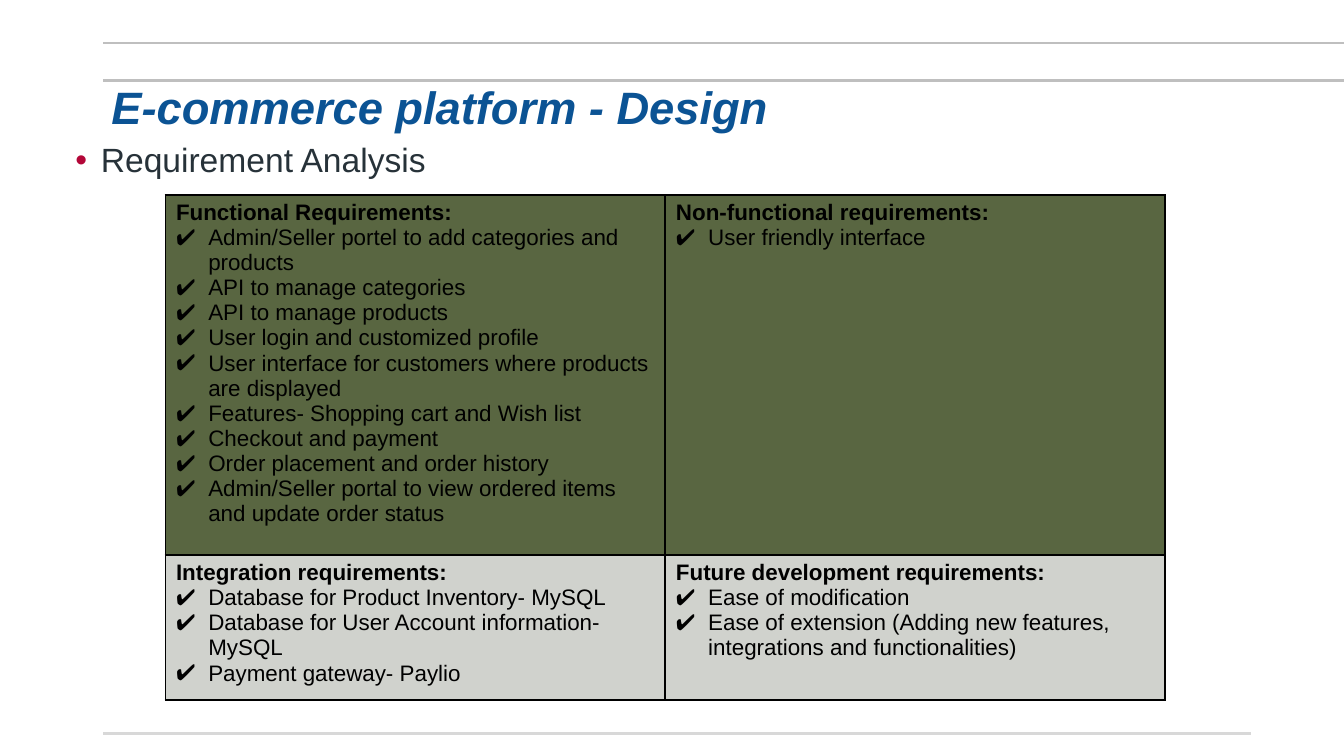
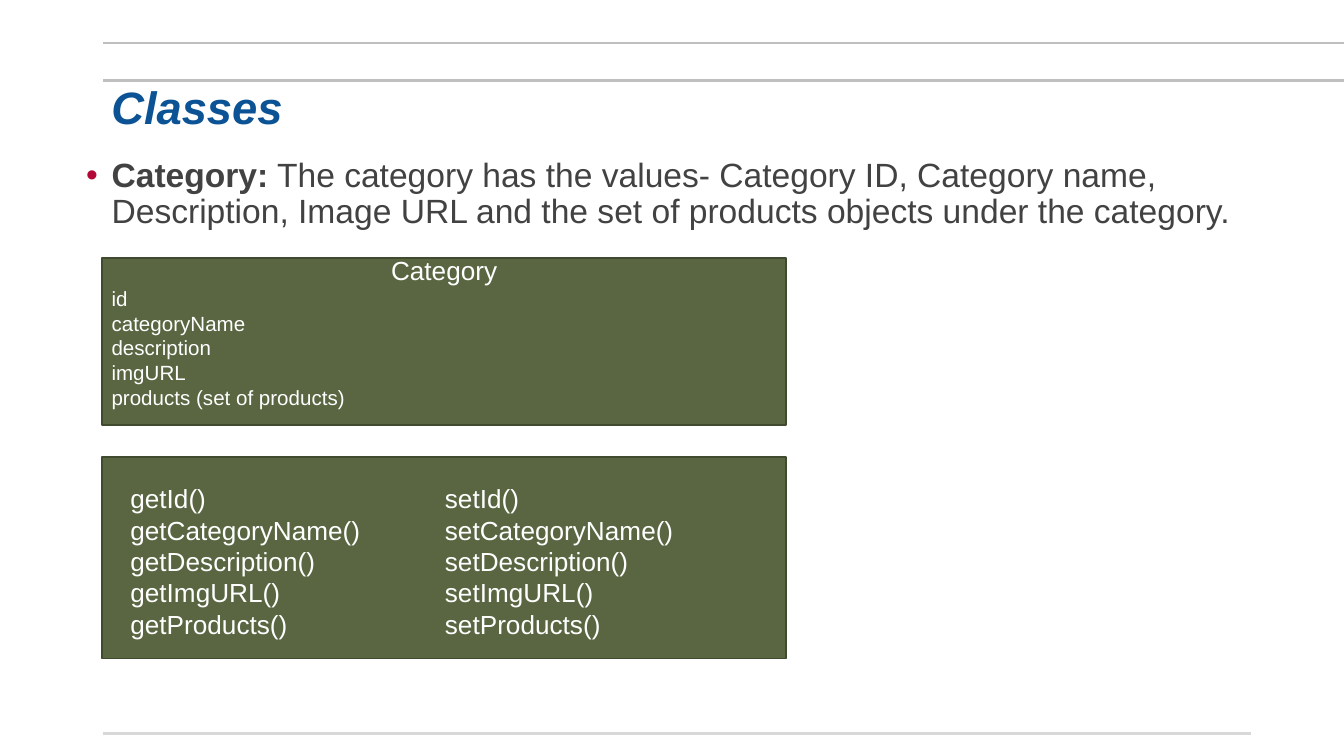
import pptx
import pptx.util
import pptx.dml.color
import pptx.enum.shapes
import pptx.enum.text
import pptx.oxml
import pptx.oxml.ns

Inches = pptx.util.Inches
Pt = pptx.util.Pt
RGBColor = pptx.dml.color.RGBColor
ALIGN = pptx.enum.text.PP_ALIGN
ANCHOR = pptx.enum.text.MSO_ANCHOR

FONT = "Arial"
TITLE_BLUE = RGBColor(0x0B, 0x53, 0x94)
BULLET_RED = RGBColor(0xB3, 0x07, 0x38)
SLATE = RGBColor(0x27, 0x32, 0x39)
GRAY = RGBColor(0x42, 0x42, 0x42)
OLIVE = RGBColor(0x59, 0x66, 0x41)
DARK_OLIVE = RGBColor(0x40, 0x4A, 0x2F)
PALE_GRAY = RGBColor(0xD0, 0xD2, 0xCD)
RULE_GRAY = RGBColor(0xBF, 0xBF, 0xBF)
FOOTER_GRAY = RGBColor(0xD8, 0xD8, 0xD8)
BLACK = RGBColor(0, 0, 0)
WHITE = RGBColor(255, 255, 255)

# Rules on every slide: height, right end, colour
RULES = [(0.6, 10, RULE_GRAY), (0.32, 10, RULE_GRAY), (5.46, 9.31, FOOTER_GRAY)]
RULE_LEFT = 0.77

# Each cell: heading, then its checked items
REQUIREMENTS = [
    [
        ("Functional Requirements:", [
            "Admin/Seller portel to add categories and products",
            "API to manage categories",
            "API to manage products",
            "User login and customized profile",
            "User interface for customers where products are displayed",
            "Features- Shopping cart and Wish list",
            "Checkout and payment",
            "Order placement and order history",
            "Admin/Seller portal to view ordered items and update order status",
        ]),
        ("Non-functional requirements:", ["User friendly interface"]),
    ],
    [
        ("Integration requirements:", [
            "Database for Product Inventory- MySQL",
            "Database for User Account information- MySQL",
            "Payment gateway- Paylio",
        ]),
        ("Future development requirements:", [
            "Ease of modification",
            "Ease of extension (Adding new features, integrations and functionalities)",
        ]),
    ],
]

CATEGORY_FIELDS = ["id", "categoryName", "description", "imgURL",
                   "products (set of products)"]
PROPERTIES = ["Id", "CategoryName", "Description", "ImgURL", "Products"]


# Text helpers
def add_run(paragraph, text, size, color, bold=False, italic=False):
    run = paragraph.add_run()
    run.text = text
    run.font.name = FONT
    run.font.size = Pt(size)
    run.font.color.rgb = color
    run.font.bold = bold
    run.font.italic = italic


def set_bullet(paragraph, character, color, indent):
    properties = paragraph._p.get_or_add_pPr()
    properties.set("marL", str(Inches(indent)))
    properties.set("indent", str(-Inches(indent)))
    namespace = pptx.oxml.ns.nsdecls("a")
    for xml in (
        f'<a:buClr {namespace}><a:srgbClr val="{color}"/></a:buClr>',
        f'<a:buFont {namespace} typeface="{FONT}"/>',
        f'<a:buChar {namespace} char="{character}"/>',
    ):
        properties.append(pptx.oxml.parse_xml(xml))


def set_margins(target, horizontal=0.07, top=0.04, bottom=0.04):
    target.margin_left = target.margin_right = Inches(horizontal)
    target.margin_top = Inches(top)
    target.margin_bottom = Inches(bottom)


def add_text_box(slide, left, top, width, height):
    box = slide.shapes.add_textbox(
        Inches(left), Inches(top), Inches(width), Inches(height))
    frame = box.text_frame
    frame.word_wrap = True
    set_margins(frame)
    return frame


# Shared slide parts
def add_rule(slide, top, right, color):
    rule = slide.shapes.add_connector(
        pptx.enum.shapes.MSO_CONNECTOR.STRAIGHT,
        Inches(RULE_LEFT), Inches(top), Inches(right), Inches(top))
    rule.line.color.rgb = color
    rule.line.width = Pt(1.5)
    rule._element.spPr.append(pptx.oxml.parse_xml(
        f'<a:effectLst {pptx.oxml.ns.nsdecls("a")}/>'))


def add_base_slide(presentation):
    slide = presentation.slides.add_slide(presentation.slide_layouts[6])
    for rule in RULES:
        add_rule(slide, *rule)
    return slide


def add_title(slide, title):
    frame = add_text_box(slide, 0.76, 0.6, 8.54, 0.43)
    frame.vertical_anchor = ANCHOR.MIDDLE
    paragraph = frame.paragraphs[0]
    paragraph.line_spacing = 0.9
    add_run(paragraph, title, 24.3, TITLE_BLUE, bold=True, italic=True)


def add_body(slide, left, top, height, color, runs):
    paragraph = add_text_box(slide, left, top, 8.92, height).paragraphs[0]
    paragraph.line_spacing = 0.9
    set_bullet(paragraph, "•", BULLET_RED, 0.19)
    for text, bold in runs:
        add_run(paragraph, text, 18, color, bold)


# Requirements table
def set_borders(cell):
    properties = cell._tc.get_or_add_tcPr()
    for position, side in enumerate(("lnL", "lnR", "lnT", "lnB")):
        properties.insert(position, pptx.oxml.parse_xml(
            f'<a:{side} {pptx.oxml.ns.nsdecls("a")} w="{Pt(1)}"><a:solidFill>'
            f'<a:srgbClr val="{BLACK}"/></a:solidFill></a:{side}>'))


def fill_cell(cell, heading, items, color):
    cell.fill.solid()
    cell.fill.fore_color.rgb = color
    set_borders(cell)
    set_margins(cell, horizontal=0.08)
    frame = cell.text_frame
    add_run(frame.paragraphs[0], heading, 12, BLACK, bold=True)
    for item in items:
        paragraph = frame.add_paragraph()
        set_bullet(paragraph, "✔", BLACK, 0.24)
        add_run(paragraph, item, 12, BLACK)


def add_requirements_table(slide):
    table_frame = slide.shapes.add_table(
        2, 2, Inches(1.23), Inches(1.45), Inches(7.44), Inches(3.1))
    table = table_frame.table
    table.first_row = False
    table.horz_banding = False
    for column in table.columns:
        column.width = Inches(3.72)
    for row, height in zip(table.rows, (2.09, 1.01)):
        row.height = Inches(height)
    # Rows grow with their text, so the frame keeps its own size
    table_frame.width = table_frame.height = Inches(3.28)
    for row, contents, color in zip(table.rows, REQUIREMENTS, (OLIVE, PALE_GRAY)):
        for cell, (heading, items) in zip(row.cells, contents):
            fill_cell(cell, heading, items, color)


# Class diagram
def add_class_box(slide, top, height):
    box = slide.shapes.add_shape(
        pptx.enum.shapes.MSO_SHAPE.RECTANGLE,
        Inches(0.76), Inches(top), Inches(5.09), Inches(height))
    box.shadow.inherit = False
    box.fill.solid()
    box.fill.fore_color.rgb = OLIVE
    box.line.color.rgb = DARK_OLIVE
    box.line.width = Pt(1)
    return box.text_frame


def add_fields(frame, name, fields):
    frame.word_wrap = True
    frame.vertical_anchor = ANCHOR.MIDDLE
    set_margins(frame, top=0, bottom=0.14)
    heading = frame.paragraphs[0]
    heading.alignment = ALIGN.CENTER
    add_run(heading, name, 14, WHITE)
    for field in fields:
        paragraph = frame.add_paragraph()
        paragraph.alignment = ALIGN.LEFT
        add_run(paragraph, field, 11, WHITE)


def add_methods(slide, left, prefix):
    frame = add_text_box(slide, left, 3.55, 2.15, 1.21)
    for index, name in enumerate(PROPERTIES):
        paragraph = frame.add_paragraph() if index else frame.paragraphs[0]
        add_run(paragraph, f"{prefix}{name}()", 14, WHITE)


# Slides
def build_design_slide(presentation):
    slide = add_base_slide(presentation)
    add_body(slide, 0.49, 1.03, 4.32, SLATE, [("Requirement Analysis", False)])
    add_title(slide, "E-commerce platform - Design")
    add_requirements_table(slide)


def build_classes_slide(presentation):
    slide = add_base_slide(presentation)
    add_body(slide, 0.57, 1.14, 4.01, GRAY, [
        ("Category:", True),
        (" The category has the values- Category ID, Category name, Description, "
         "Image URL and the set of products objects under the category.", False),
    ])
    add_title(slide, "Classes")
    add_fields(add_class_box(slide, 1.92, 1.24), "Category", CATEGORY_FIELDS)
    add_class_box(slide, 3.4, 1.5)
    add_methods(slide, 3.24, "set")
    add_methods(slide, 0.9, "get")


def main():
    presentation = pptx.Presentation()
    presentation.slide_width = Inches(10)
    presentation.slide_height = Inches(10) * 9 // 16
    build_design_slide(presentation)
    build_classes_slide(presentation)
    presentation.save("out.pptx")


if __name__ == "__main__":
    main()
